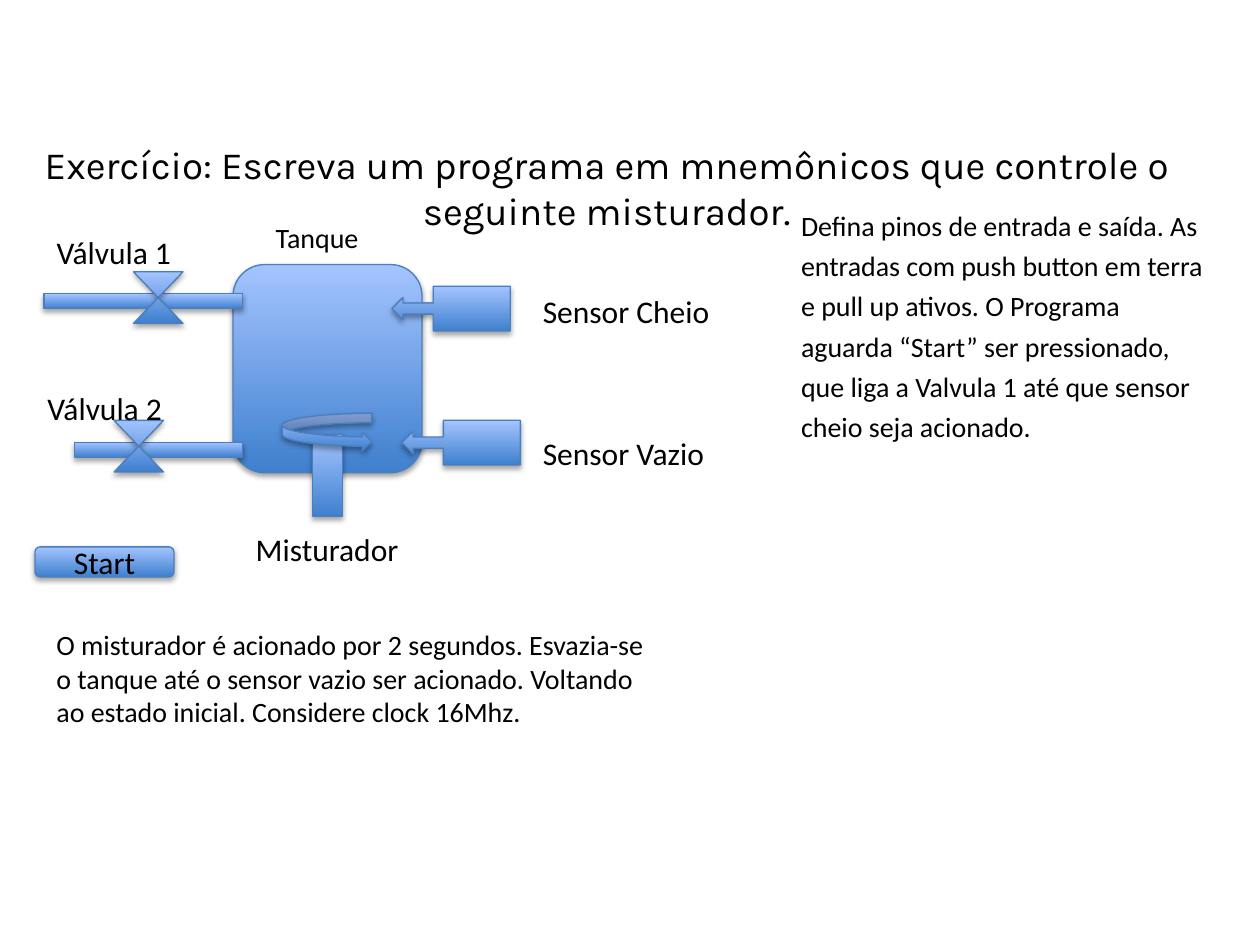
from lxml.etree import SubElement
from pptx import Presentation
from pptx.dml.color import RGBColor
from pptx.enum.shapes import MSO_SHAPE as SHAPE
from pptx.enum.text import MSO_ANCHOR as ANCHOR, MSO_AUTO_SIZE as AUTO, PP_ALIGN as ALIGN
from pptx.oxml.ns import qn
from pptx.util import Pt

THEME = {
    "title_font": "Karla", "body_font": "Calibri",
    "title_size": 22, "label_size": 18, "text_size": 16,
    "text": "000000", "dark": "3F80CE", "light": "A4C4FF",
    "line": "4B7EBC", "shadow": "000000",
}


def write(shape, text, size, font=THEME["body_font"], align=ALIGN.LEFT, wrap=True):
    frame = shape.text_frame
    frame.text = text
    frame.word_wrap = wrap
    frame.auto_size = AUTO.NONE
    paragraph = frame.paragraphs[0]
    paragraph.alignment = align
    run_font = paragraph.runs[0].font
    run_font.name, run_font.size = font, Pt(size)
    run_font.color.rgb = RGBColor.from_string(THEME["text"])
    return paragraph


def add_part(kind, left, top, width, height):
    """Add one piece of the mixer, with the shared gradient, outline and shadow."""
    shape = slide.shapes.add_shape(kind, Pt(left), Pt(top), Pt(width), Pt(height))
    shape.fill.gradient()
    shape.fill.gradient_angle = 90
    for stop, name in zip(shape.fill.gradient_stops, ("dark", "light")):
        stop.color.rgb = RGBColor.from_string(THEME[name])
    shape.line.color.rgb = RGBColor.from_string(THEME["line"])
    shape.line.width = Pt(0.75)
    shape.shadow.inherit = False
    effects = shape._element.spPr.find(qn("a:effectLst"))
    shadow = SubElement(effects, qn("a:outerShdw"), blurRad=str(Pt(3.1)),
                        dist=str(Pt(1.8)), dir="5400000", rotWithShape="0")
    color = SubElement(shadow, qn("a:srgbClr"), val=THEME["shadow"])
    SubElement(color, qn("a:alpha"), val="35000")
    return shape


presentation = Presentation()
presentation.slide_width, presentation.slide_height = Pt(720), Pt(540)
slide = presentation.slides.add_slide(presentation.slide_layouts[5])

# Title
title = slide.shapes.title
title.left, title.top, title.width, title.height = Pt(0.7), Pt(77), Pt(692), Pt(60.5)
write(title, "Exercício: Escreva um programa em mnemônicos que controle o seguinte misturador.",
      THEME["title_size"], THEME["title_font"], ALIGN.CENTER)
title.text_frame.vertical_anchor = ANCHOR.TOP

# Tank, with a pipe and a valve for each inlet
add_part(SHAPE.ROUNDED_RECTANGLE, 133.2, 151.2, 108, 119)
pipe_end = 138.8
for pipe_left, pipe_top, valve_left in ((25.2, 167.8, 76.3), (42.5, 252.7, 65.2)):
    add_part(SHAPE.RECTANGLE, pipe_left, pipe_top, pipe_end - pipe_left, 8.6)
    add_part(SHAPE.FLOWCHART_COLLATE, valve_left, pipe_top - 12.5, 28.3, 29.5)

# Level sensors
for left, top in ((223.9, 163.6), (229.7, 240.2)):
    add_part(SHAPE.LEFT_ARROW_CALLOUT, left, top, 67.7, 25.5)

# Mixer shaft and rotation arrow
add_part(SHAPE.RECTANGLE, 178.6, 248.4, 17, 46.8)
add_part(SHAPE.CURVED_RIGHT_ARROW, 161.3, 236.2, 51.1, 21.6)

# Start button
button = add_part(SHAPE.ROUNDED_RECTANGLE, 20, 312.5, 79.4, 17.2)
write(button, "Start", THEME["label_size"], align=ALIGN.CENTER)
button.text_frame.vertical_anchor = ANCHOR.MIDDLE

# Labels: text, left, top, width, size
labels = (
    ("Válvula 1", 25.2, 129.6, 80.6, THEME["label_size"]),
    ("Válvula 2", 20, 218.9, 80.6, THEME["label_size"]),
    ("Sensor Cheio", 303.1, 163.6, 110.9, THEME["label_size"]),
    ("Sensor Vazio", 303.1, 244.6, 108, THEME["label_size"]),
    ("Misturador", 139, 299.5, 97.2, THEME["label_size"]),
    ("Tanque", 150.5, 122.4, 61.9, THEME["text_size"]),
)
for text, left, top, width, size in labels:
    label = slide.shapes.add_textbox(Pt(left), Pt(top), Pt(width), Pt(size * 1.6))
    write(label, text, size, wrap=False)

# Instructions: text, left, top, width, height, line spacing
instructions = (
    ("Defina pinos de entrada e saída. As entradas com push button em terra e pull up ativos. "
     "O Programa aguarda “Start” ser pressionado, que liga a Valvula 1 até que sensor cheio "
     "seja acionado.", 450.7, 111.6, 249.1, 145.4, 1.2),
    ("O misturador é acionado por 2 segundos. Esvazia-se o tanque até o sensor vazio ser "
     "acionado. Voltando ao estado inicial. Considere clock 16Mhz.",
     25.2, 355, 360, 65.5, 1.0),
)
for text, left, top, width, height, spacing in instructions:
    box = slide.shapes.add_textbox(Pt(left), Pt(top), Pt(width), Pt(height))
    write(box, text, THEME["text_size"]).line_spacing = spacing

presentation.save("out.pptx")
